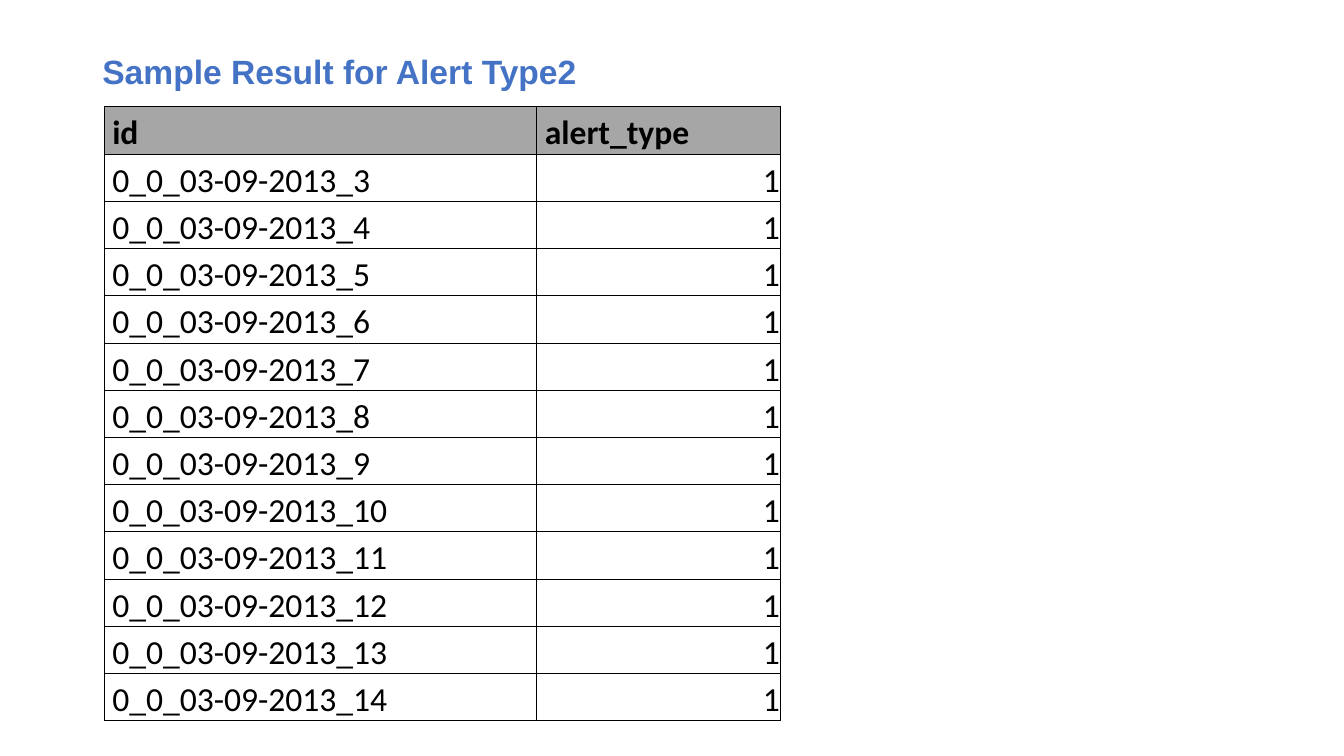
"""Build the slide with the sample results for the second alert type."""
from lxml.etree import SubElement
from pptx import Presentation
from pptx.dml.color import RGBColor
from pptx.enum.text import MSO_ANCHOR, PP_ALIGN
from pptx.oxml.ns import qn
from pptx.util import Cm, Pt

HEADERS = ("id", "alert_type")
RESULTS = [(f"0_0_03-09-2013_{number}", "1") for number in range(3, 15)]
COLUMN_WIDTHS = (10.9, 6.15)
ROW_HEIGHT = 1.19


def color(value):
    return RGBColor.from_string(value)


def format_text(paragraph, font_name, font_color, bold):
    font = paragraph.runs[0].font
    font.name = font_name
    font.size = Pt(24)
    font.bold = bold
    font.color.rgb = color(font_color)


def add_title(slide, text):
    shape = slide.shapes.add_textbox(Cm(2.33), Cm(1.02), Cm(29.21), Cm(1.68))
    text_frame = shape.text_frame
    text_frame.word_wrap = True
    text_frame.vertical_anchor = MSO_ANCHOR.MIDDLE
    text_frame.text = text
    paragraph = text_frame.paragraphs[0]
    paragraph.line_spacing = 0.9
    format_text(paragraph, "Arial", "4472C4", True)


def add_borders(cell):
    properties = cell._tc.get_or_add_tcPr()
    for side in ("lnL", "lnR", "lnT", "lnB"):
        line = SubElement(properties, qn(f"a:{side}"), w=str(Pt(0.5)))
        fill = SubElement(line, qn("a:solidFill"))
        SubElement(fill, qn("a:srgbClr"), val="000000")


def fill_cell(cell, text, is_header, is_number):
    cell.margin_left = Cm(0.02 if is_number else 0.21)
    cell.margin_right = cell.margin_top = Cm(0.02)
    cell.margin_bottom = Cm(0)
    cell.vertical_anchor = MSO_ANCHOR.BOTTOM
    add_borders(cell)
    if is_header:
        cell.fill.solid()
        cell.fill.fore_color.rgb = color("A6A6A6")
    else:
        cell.fill.background()
    cell.text_frame.text = text
    paragraph = cell.text_frame.paragraphs[0]
    paragraph.alignment = PP_ALIGN.RIGHT if is_number else PP_ALIGN.LEFT
    format_text(paragraph, "Calibri", "000000", is_header)


def add_result_table(slide, rows):
    shape = slide.shapes.add_table(
        len(rows), len(HEADERS), Cm(2.62), Cm(2.69),
        Cm(sum(COLUMN_WIDTHS)), Cm(ROW_HEIGHT * len(rows)),
    )
    table = shape.table
    table.horz_banding = False
    for column, width in zip(table.columns, COLUMN_WIDTHS):
        column.width = Cm(width)
    for row_index, values in enumerate(rows):
        table.rows[row_index].height = Cm(ROW_HEIGHT)
        is_header = row_index == 0
        for column_index, text in enumerate(values):
            is_number = column_index == 1 and not is_header
            fill_cell(table.cell(row_index, column_index), text, is_header, is_number)


def main():
    presentation = Presentation()
    presentation.slide_width = Cm(33.87)
    presentation.slide_height = Cm(19.05)
    slide = presentation.slides.add_slide(presentation.slide_layouts[6])
    add_title(slide, "Sample Result for Alert Type2")
    add_result_table(slide, [HEADERS, *RESULTS])
    presentation.save("out.pptx")


if __name__ == "__main__":
    main()
